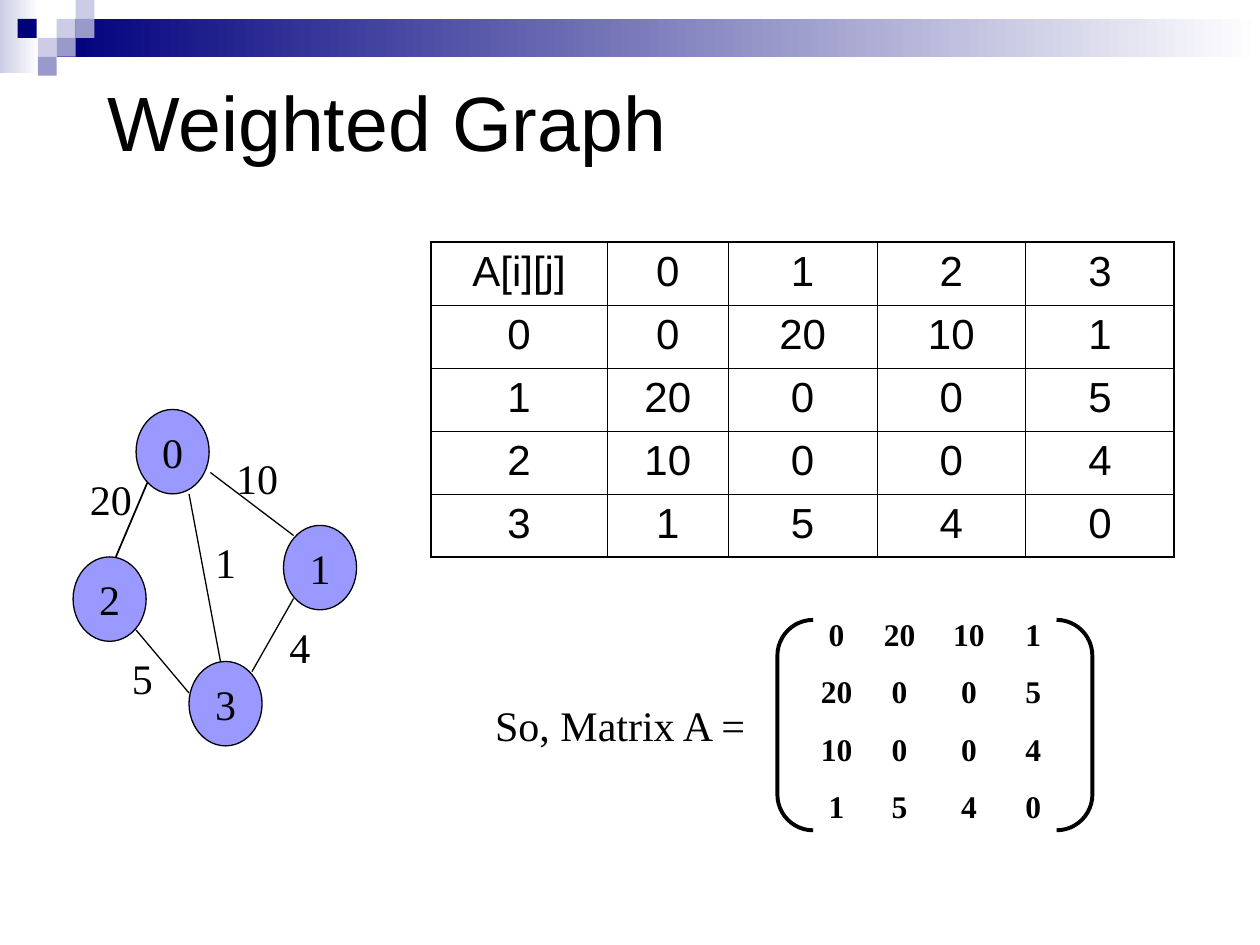
import dataclasses
import lxml.etree
import pptx
import pptx.dml.color
import pptx.enum.shapes
import pptx.enum.text
import pptx.oxml.ns
import pptx.util

Inches = pptx.util.Inches
Pt = pptx.util.Pt
Shape = pptx.enum.shapes.MSO_SHAPE
Align = pptx.enum.text.PP_ALIGN
Anchor = pptx.enum.text.MSO_ANCHOR
qn = pptx.oxml.ns.qn


@dataclasses.dataclass(frozen=True)
class Theme:
    black: str = "000000"
    white: str = "FFFFFF"
    navy: str = "00007D"
    pale: str = "CCCCE6"
    mid: str = "9999CC"
    node: str = "9999FF"
    sans: str = "Arial"
    serif: str = "Times New Roman"
    head: int = 44
    body: int = 24
    small: int = 18
    thin: float = 0.75
    thick: float = 2.25
    inner: float = 0.45
    outer: float = 1.08


def color(code):
    return pptx.dml.color.RGBColor.from_string(code)


def write(frame, text, font, size, ink, bold=False, align=Align.LEFT,
          anchor=Anchor.TOP, wrap=True, gap=0, pad=0.1, tabs=()):
    """Fill a text frame, one paragraph per line of text."""
    frame.word_wrap = wrap
    frame.vertical_anchor = anchor
    frame.margin_left = frame.margin_right = Inches(pad)
    frame.margin_top = frame.margin_bottom = Inches(0.05)
    for i, line in enumerate(text.split("\n")):
        para = frame.add_paragraph() if i else frame.paragraphs[0]
        if tabs:
            stops = lxml.etree.SubElement(
                para._p.get_or_add_pPr(), qn("a:tabLst"))
            for stop in tabs:
                lxml.etree.SubElement(stops, qn("a:tab"),
                                      pos=str(Inches(stop)), algn="ctr")
        para.alignment = align
        para.space_before = Pt(gap if i else 0)
        run = para.add_run()
        run.text = line
        run.font.name, run.font.size, run.font.bold = font, Pt(size), bold
        run.font.color.rgb = color(ink)


class Deck:
    def __init__(self, theme):
        self.theme = theme
        self.file = pptx.Presentation()
        self.file.slide_width = Inches(10)
        self.file.slide_height = Inches(7.5)
        self.slide = self.file.slides.add_slide(self.file.slide_layouts[5])

    def title(self, text, x, y, w, h):
        box = self.slide.shapes.title
        box.left, box.top, box.width, box.height = map(Inches, (x, y, w, h))
        write(box.text_frame, text, self.theme.sans, self.theme.head,
              self.theme.black, anchor=Anchor.MIDDLE)

    def shape(self, kind, x, y, w, h, fill=None, line=None):
        item = self.slide.shapes.add_shape(kind, *map(Inches, (x, y, w, h)))
        item.shadow.inherit = False
        if fill:
            item.fill.solid()
            item.fill.fore_color.rgb = color(fill)
        else:
            item.fill.background()
        if line:
            item.line.color.rgb = color(self.theme.black)
            item.line.width = Pt(line)
        else:
            item.line.fill.background()
        return item

    def fade(self, x, y, w, h, start):
        """Add a band that fades to white at its right end."""
        band = self.shape(Shape.RECTANGLE, x, y, w, h)
        band.fill.gradient()
        band.fill.gradient_angle = 180
        for stop, code in zip(band.fill.gradient_stops,
                              (self.theme.white, start)):
            stop.color.rgb = color(code)

    def node(self, text, x, y):
        item = self.shape(Shape.OVAL, x, y, 0.58, 0.67,
                          self.theme.node, self.theme.thin)
        write(item.text_frame, text, self.theme.serif, self.theme.body,
              self.theme.black, align=Align.CENTER, anchor=Anchor.MIDDLE,
              wrap=False)

    def edge(self, start, end, width):
        item = self.slide.shapes.add_connector(
            pptx.enum.shapes.MSO_CONNECTOR.STRAIGHT,
            *map(Inches, start + end))
        item.line.color.rgb = color(self.theme.black)
        item.line.width = Pt(width)
        lxml.etree.SubElement(item._element.spPr, qn("a:effectLst"))

    def text(self, text, x, y, w, h, size=None, **style):
        box = self.slide.shapes.add_textbox(*map(Inches, (x, y, w, h)))
        write(box.text_frame, text, self.theme.serif,
              size or self.theme.body, self.theme.black, **style)

    def border(self, cell, sides):
        props = cell._tc.get_or_add_tcPr()
        for i, (side, width) in enumerate(sides.items()):
            line = lxml.etree.Element(qn("a:ln" + side), w=str(Pt(width)))
            fill = lxml.etree.SubElement(line, qn("a:solidFill"))
            lxml.etree.SubElement(fill, qn("a:srgbClr"),
                                  val=self.theme.black)
            props.insert(i, line)

    def table(self, rows, x, y, widths, height):
        last, end = len(rows) - 1, len(widths) - 1
        grid = self.slide.shapes.add_table(
            len(rows), len(widths), Inches(x), Inches(y),
            Inches(sum(widths)), Inches(height * len(rows))).table
        grid.first_row = grid.horz_banding = False
        for col, width in zip(grid.columns, widths):
            col.width = Inches(width)
        for r, row in enumerate(rows):
            grid.rows[r].height = Inches(height)
            for c, value in enumerate(row):
                cell = grid.cell(r, c)
                write(cell.text_frame, str(value), self.theme.sans,
                      self.theme.body, self.theme.black, align=Align.CENTER)
                cell.fill.background()
                rim = {"L": c == 0, "R": c == end,
                       "T": r == 0, "B": r == last}
                self.border(cell, {
                    side: self.theme.outer if out else self.theme.inner
                    for side, out in rim.items()})


def main():
    theme = Theme()
    deck = Deck(theme)

    # Top band and squares
    deck.fade(0, 0, 0.31, 0.58, theme.pale)
    deck.fade(0.45, 0.15, 9.55, 0.3, theme.navy)
    for x, y, fill in ((0.45, 0.15, theme.pale), (0.6, 0, theme.pale),
                       (0.6, 0.15, theme.mid), (0.3, 0.3, theme.pale),
                       (0.14, 0.15, theme.navy), (0.45, 0.3, theme.mid),
                       (0.3, 0.45, theme.mid)):
        deck.shape(Shape.RECTANGLE, x, y, 0.15, 0.15, fill)

    deck.title("Weighted Graph", 0.75, 0.33, 8.5, 1.25)

    # Weight table
    matrix = [[0, 20, 10, 1], [20, 0, 0, 5], [10, 0, 0, 4], [1, 5, 4, 0]]
    rows = [["A[i][j]", *range(4)]]
    rows += [[i, *row] for i, row in enumerate(matrix)]
    deck.table(rows, 3.42, 1.92, [1.4, 0.96, 1.18, 1.18, 1.18], 0.5)

    # Graph nodes, edges and weights
    for name, x, y in (("0", 1.08, 3.25), ("1", 2.25, 4.17),
                       ("3", 1.5, 5.25), ("2", 0.58, 4.42)):
        deck.node(name, x, y)
    for start, end, width in (((1.17, 3.83), (0.92, 4.42), 1),
                              ((1.08, 5), (1.5, 5.5), theme.thin),
                              ((1.67, 3.75), (2.33, 4.25), theme.thin),
                              ((2.33, 4.75), (2, 5.33), theme.thin),
                              ((1.5, 3.92), (1.75, 5.25), theme.thin)):
        deck.edge(start, end, width)
    for weight, x, y in (("20", 0.67, 3.75), ("10", 1.83, 3.58),
                         ("1", 1.58, 4.25), ("5", 0.92, 5.17),
                         ("4", 2.17, 4.92)):
        deck.text(weight, x, y, 0.42, 0.42, align=Align.CENTER,
                  anchor=Anchor.MIDDLE, wrap=False, pad=0)

    # Matrix in brackets
    deck.text("So, Matrix A =", 3.75, 5.5, 2.5, 0.5, pad=0.18)
    pair = deck.shape(Shape.DOUBLE_BRACKET, 6.17, 4.92, 2.5, 1.67,
                      line=theme.thick)
    pair.adjustments[0] = 0.17
    lines = ("".join(f"\t{value}" for value in row) for row in matrix)
    deck.text("\n".join(lines), 6.42, 4.83, 2.17, 1.77, size=theme.small,
              bold=True, gap=11.25, pad=0, tabs=(0.22, 0.72, 1.27, 1.78))

    deck.file.save("out.pptx")


if __name__ == "__main__":
    main()
